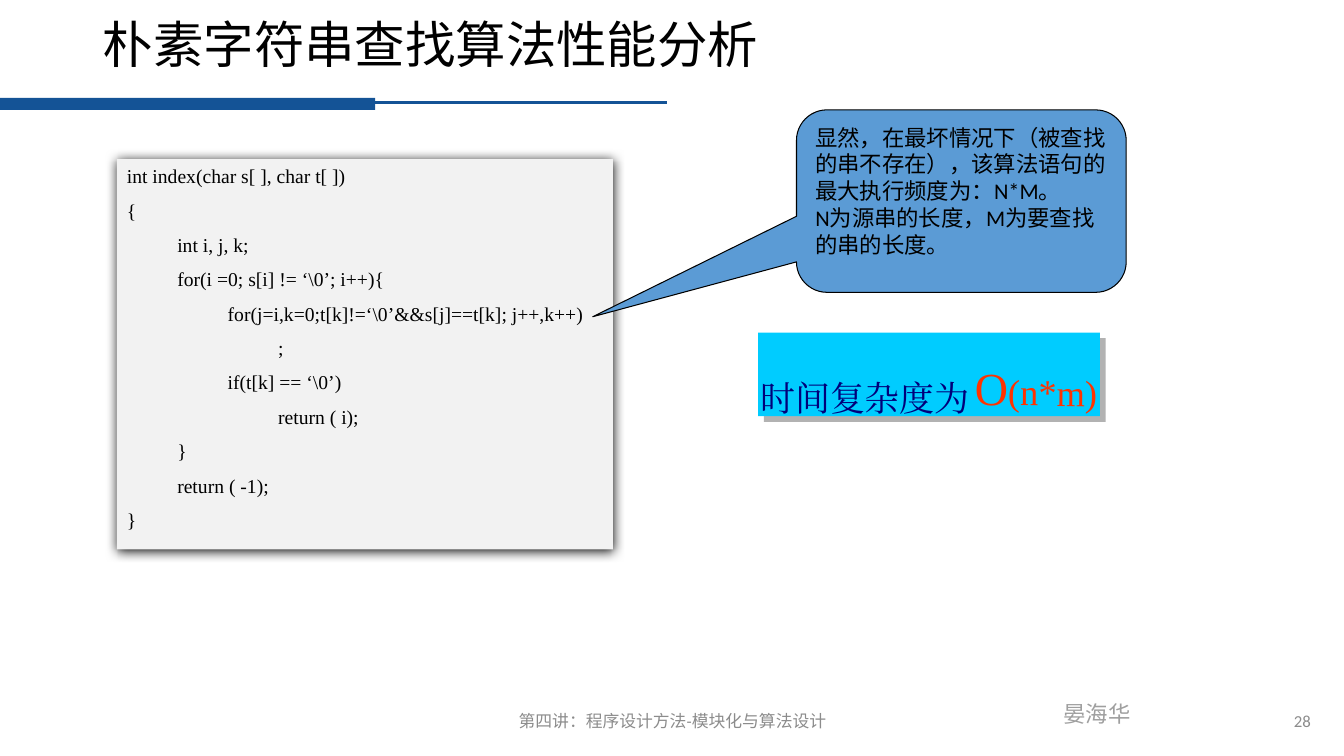
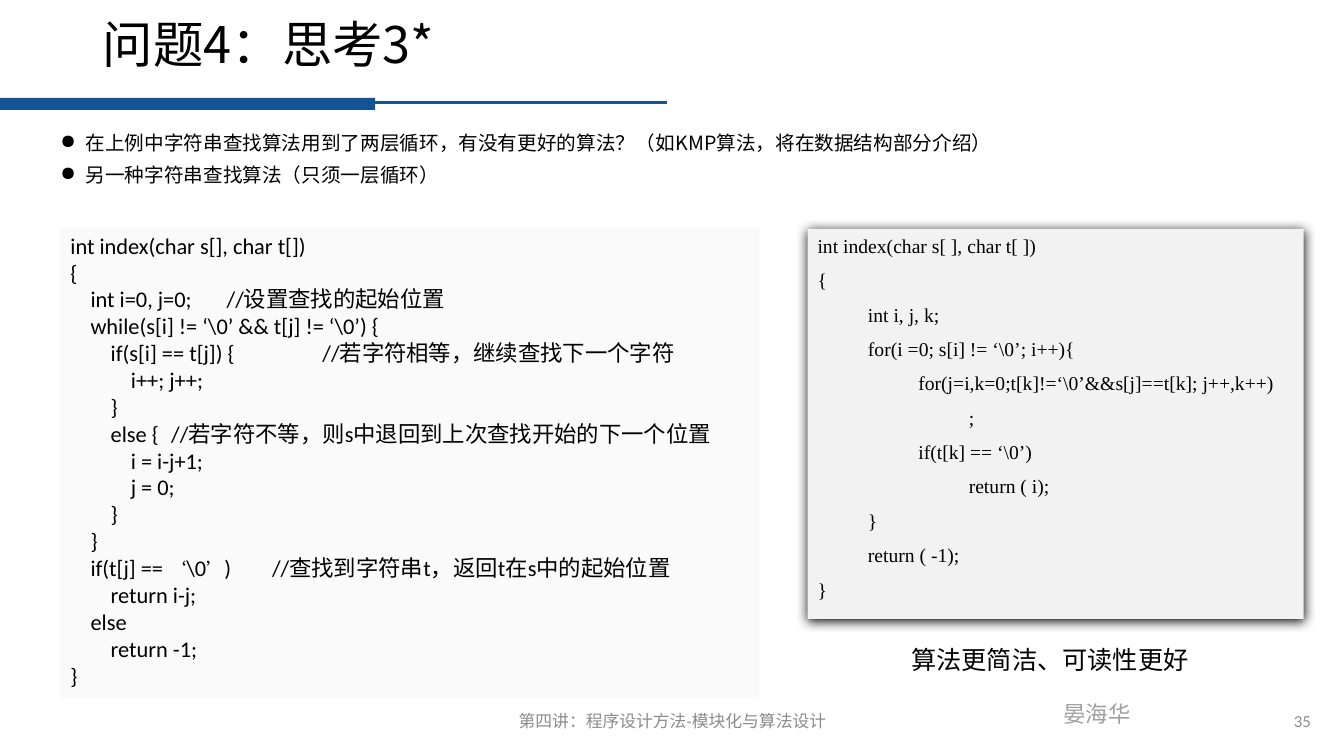
from dataclasses import dataclass

from lxml import etree
from pptx import Presentation
from pptx.dml.color import RGBColor
from pptx.enum import shapes, text
from pptx.oxml import ns
from pptx.util import Inches, Pt

COLORS = {
    "ink": "000000", "band": "145396", "footer": "8C8C8C", "author": "9F9F9F",
    "listing": "F2F2F2", "pad": "FAFAFA", "callout": "5B9BD5", "cyan": "00CCFF",
    "gray": "B2B2B2", "navy": "00007A", "orange": "FF3300",
}
SANS, CJK, SERIF = "Calibri", "Noto Sans CJK SC", "Times New Roman"
LEFT, CENTER, RIGHT = text.PP_ALIGN.LEFT, text.PP_ALIGN.CENTER, text.PP_ALIGN.RIGHT
TOP, MIDDLE = text.MSO_ANCHOR.TOP, text.MSO_ANCHOR.MIDDLE
RECT = shapes.MSO_SHAPE.RECTANGLE


@dataclass(frozen=True)
class Style:
    font: str
    size: float
    color: str = "ink"


@dataclass(frozen=True)
class Span:
    text: str
    style: Style


@dataclass(frozen=True)
class Para:
    spans: tuple[Span, ...]
    margin: float = 0
    indent: float = 0
    before: float = 0
    bullet: str = ""


@dataclass(frozen=True)
class Area:
    left: float
    top: float
    width: float
    height: float

    def lengths(self) -> tuple:
        return tuple(Inches(v) for v in (self.left, self.top, self.width, self.height))


@dataclass(frozen=True)
class Shadow:
    color: str
    blur: float
    distance: float
    angle: int


TITLE = Style(CJK, 36)
BODY = Style(CJK, 14)
CODE = Style(SANS, 16)
WIDE_QUOTE = Style(CJK, 13)
LISTING = Style(SERIF, 14)
FOOTER = Style(SANS, 12, "footer")
SOFT = Shadow("ink", 8.5, 1, 90)
HARD = Shadow("gray", 0, 5.7, 45)

# Nested-loop search: (level, line)
NESTED_SEARCH = (
    (0, "int index(char s[ ], char t[ ])"),
    (0, "{"),
    (1, "int i, j, k;"),
    (1, "for(i =0; s[i] != ‘\\0’; i++){"),
    (2, "for(j=i,k=0;t[k]!=‘\\0’&&s[j]==t[k]; j++,k++)"),
    (3, ";"),
    (2, "if(t[k] == ‘\\0’)"),
    (3, "return ( i);"),
    (1, "}"),
    (1, "return ( -1);"),
    (0, "}"),
)

# Single-loop search: (level, pieces), where every second piece is a wide quote
SINGLE_SEARCH = (
    (0, ("int index(char s[], char t[])",)),
    (0, ("{",)),
    (1, ("int i=0, j=0;\t //设置查找的起始位置",)),
    (1, ("while(s[i] != ‘\\0’ && t[j] != ‘\\0’) {",)),
    (2, ("if(s[i] == t[j]) {\t\t//若字符相等，继续查找下一个字符",)),
    (3, ("i++; j++;",)),
    (2, ("}",)),
    (2, ("else {\t//若字符不等，则s中退回到上次查找开始的下一个位置",)),
    (3, ("i = i-j+1;",)),
    (3, ("j = 0;",)),
    (2, ("}",)),
    (1, ("}",)),
    (1, ("if(t[j] == ", "‘", "\\0", "’", ")\t//查找到字符串t，返回t在s中的起始位置")),
    (2, ("return i-j;",)),
    (1, ("else",)),
    (2, ("return -1;",)),
    (0, ("}",)),
)


def rgb(name: str) -> RGBColor:
    return RGBColor.from_string(COLORS[name])


def one(words: str, style: Style) -> tuple[Para, ...]:
    return (Para((Span(words, style),)),)


# Text
def write(frame, paras: tuple[Para, ...], align=LEFT, anchor=TOP, wrap: bool = True) -> None:
    frame.word_wrap = wrap
    frame.auto_size = text.MSO_AUTO_SIZE.NONE
    frame.vertical_anchor = anchor
    for number, item in enumerate(paras):
        para = frame.add_paragraph() if number else frame.paragraphs[0]
        para.alignment = align
        para.space_before = Pt(item.before)
        properties = para._p.get_or_add_pPr()
        properties.set("marL", str(Inches(item.margin)))
        properties.set("indent", str(Inches(item.indent)))
        if item.bullet:
            etree.SubElement(properties, ns.qn("a:buChar"), char=item.bullet)
        for span in item.spans:
            run = para.add_run()
            run.text = span.text
            run.font.name = span.style.font
            run.font.size = Pt(span.style.size)
            run.font.color.rgb = rgb(span.style.color)
            etree.SubElement(run._r.get_or_add_rPr(), ns.qn("a:ea"), typeface=span.style.font)


def add_text(page, area: Area, paras: tuple[Para, ...], **layout):
    box = page.shapes.add_textbox(*area.lengths())
    write(box.text_frame, paras, **layout)
    return box


# Shapes
def add_panel(page, area: Area, fill: str, kind=RECT, shadow: Shadow | None = None):
    panel = page.shapes.add_shape(kind, *area.lengths())
    panel.fill.solid()
    panel.fill.fore_color.rgb = rgb(fill)
    panel.line.fill.background()
    panel.shadow.inherit = False
    if shadow:
        effects = panel._element.spPr.find(ns.qn("a:effectLst"))
        outer = etree.SubElement(
            effects, ns.qn("a:outerShdw"), blurRad=str(Pt(shadow.blur)),
            dist=str(Pt(shadow.distance)), dir=str(shadow.angle * 60000),
            algn="ctr", rotWithShape="0")
        etree.SubElement(outer, ns.qn("a:srgbClr"), val=COLORS[shadow.color])
    return panel


def add_nested_search(page, left: float, top: float) -> None:
    panel = add_panel(page, Area(left, top, 4.92, 3.87), "listing", shadow=SOFT)
    paras = tuple(
        Para((Span(line, LISTING),), margin=level * 0.5, before=7.75 if number else 0)
        for number, (level, line) in enumerate(NESTED_SEARCH))
    write(panel.text_frame, paras)


# Title, bands and footers of every page
def add_page(deck, title: str, number: int):
    page = deck.slides.add_slide(deck.slide_layouts[5])
    add_panel(page, Area(0, 0.97, 3.72, 0.12), "band")
    rule = page.shapes.add_connector(
        shapes.MSO_CONNECTOR.STRAIGHT, Inches(3.68), Inches(1.02), Inches(6.62), Inches(1.02))
    rule.line.color.rgb = rgb("band")
    rule.line.width = Pt(2.25)
    etree.SubElement(rule._element.spPr, ns.qn("a:effectLst"))

    heading = page.shapes.title
    heading.left, heading.top, heading.width, heading.height = Area(0.92, 0.17, 11.5, 0.6).lengths()
    write(heading.text_frame, one(title, TITLE), anchor=MIDDLE)
    heading.text_frame.paragraphs[0].line_spacing = 0.9

    add_text(page, Area(10.45, 6.9, 0.88, 0.37), one("晏海华", Style(SANS, 16, "author")), wrap=False)
    add_text(page, Area(4.42, 6.95, 4.5, 0.4), one("第四讲：程序设计方法-模块化与算法设计", FOOTER),
             align=CENTER, anchor=MIDDLE)
    add_text(page, Area(10.1, 6.95, 3, 0.4), one(str(number), FOOTER), align=RIGHT, anchor=MIDDLE)
    return page


def build_analysis(deck) -> None:
    page = add_page(deck, "朴素字符串查找算法性能分析", 28)
    add_nested_search(page, 1.16, 1.58)

    # Complexity plate
    add_panel(page, Area(7.52, 3.3, 3.39, 0.83), "cyan", shadow=HARD)
    add_text(page, Area(7.44, 3.64, 2.32, 0.6), one("时间复杂度为", Style(SERIF, 25, "navy")),
             anchor=MIDDLE, wrap=False)
    formula = Para((Span("O", Style(SERIF, 33, "orange")), Span("(n*m)", Style(SERIF, 26, "orange"))))
    add_text(page, Area(9.57, 3.52, 1.6, 0.66), (formula,)).rotation = 0.6

    # Worst-case callout
    callout = add_panel(page, Area(7.9, 1.09, 3.27, 1.81), "callout",
                        shapes.MSO_SHAPE.ROUNDED_RECTANGULAR_CALLOUT)
    for index, value in enumerate((-1.118, 0.634, 0.167)):
        callout.adjustments[index] = value
    callout.line.color.rgb = rgb("ink")
    callout.line.width = Pt(0.75)
    write(callout.text_frame,
          one("显然，在最坏情况下（被查找的串不存在），该算法语句的最大执行频度为：N*M。", CODE)
          + one("N为源串的长度，M为要查找的串的长度。", CODE))


def build_alternative(deck) -> None:
    page = add_page(deck, "问题4：思考3*", 35)
    points = (
        "在上例中字符串查找算法用到了两层循环，有没有更好的算法？（如KMP算法，将在数据结构部分介绍）",
        "另一种字符串查找算法（只须一层循环）",
    )
    add_text(page, Area(0.5, 1.25, 9.61, 0.72), tuple(
        Para((Span(point, BODY),), 0.25, -0.25, 6 if number else 0, "●")
        for number, point in enumerate(points)))

    # The two programs side by side
    pad = add_panel(page, Area(0.6, 2.25, 6.93, 4.68), "pad")
    write(pad.text_frame, tuple(
        Para(tuple(Span(piece, WIDE_QUOTE if index % 2 else CODE)
                   for index, piece in enumerate(pieces)), indent=level * 0.2)
        for level, pieces in SINGLE_SEARCH))
    add_nested_search(page, 8.01, 2.27)
    add_text(page, Area(8.94, 6.34, 3.45, 0.4), one("算法更简洁、可读性更好", Style(SANS, 18)))


def main() -> None:
    deck = Presentation()
    deck.slide_width, deck.slide_height = Inches(13.33), Inches(7.5)
    build_analysis(deck)
    build_alternative(deck)
    deck.save("out.pptx")


if __name__ == "__main__":
    main()
